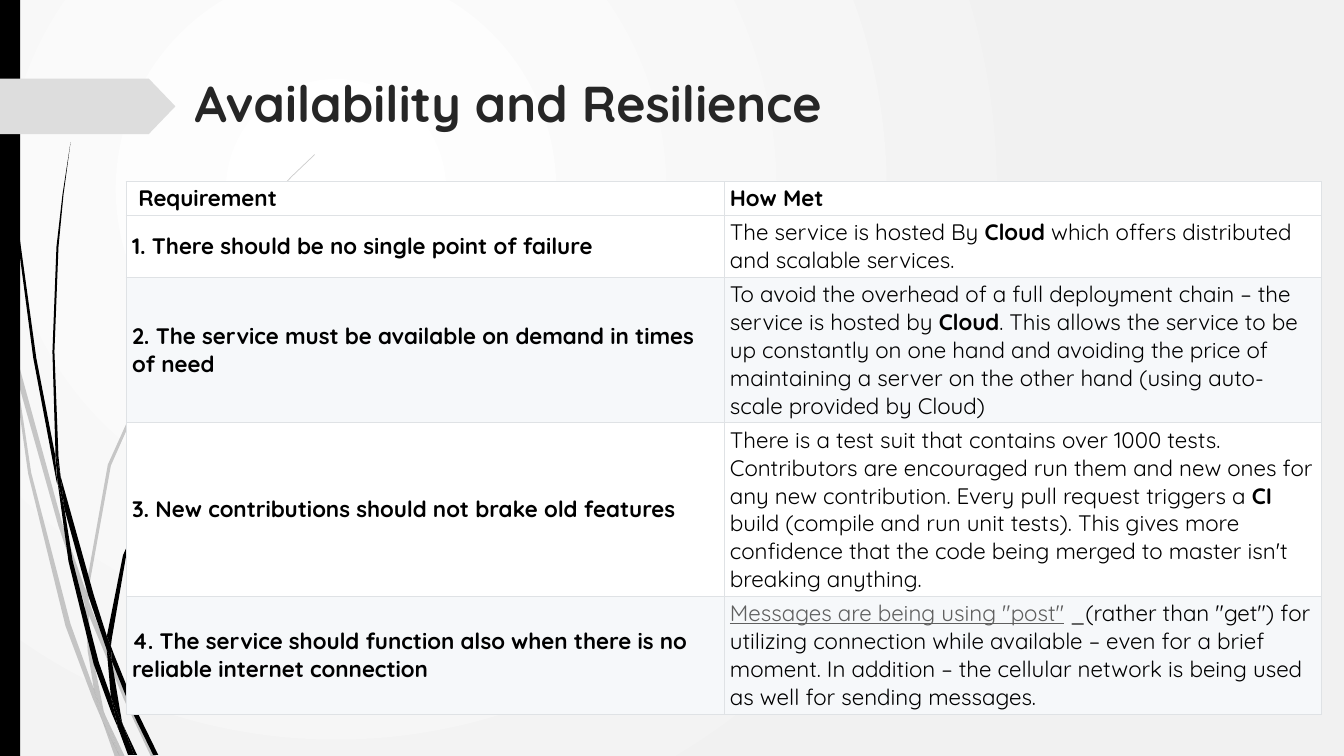
from lxml import etree
from pptx import Presentation
from pptx import util as u
from pptx.dml.color import RGBColor
from pptx.enum import shapes, text
from pptx.oxml import ns

FONT = "Quicksand"
COLORS = {"ink": "000000", "title": "262626", "arrow": "DDDDDD", "link": "5F5F5F",
          "border": "DFE2E5", "row": "FFFFFF", "band": "F6F8FA", "bg_in": "FFFFFF", "bg_out": "F1F1F1"}

PALE_WISPS = [
    "11 350 9 322 0 282 0 299 10 344",
    "58 522 84 599 85 586 62 520 14 345 17 376",
    "92 607 88 596 88 610 123 694 150 751 155 751 127 692",
    "119 751 124 751 105 711",
    "93 683 70 619 31 469 17 376 11 350 28 470 65 621 92 693 101 714 99 707",
    "84 599 87 646 93 683 96 692 105 711 103 706 91 646 88 610 88 608",
    "88 584 110 462 160 349 229 245 268 198 290 175 312 154 312 153 289 175 268 197 228 244 158 348 "
    "107 461 85 584 85 586 88 596",
    "101 714 114 751 119 751",
    "88 608 88 610 88 596 85 586 84 599",
    "96 692 93 683 99 707 101 714 119 751 105 711",
]
DARK_WISPS = [
    "7 110 17 233 33 355 56 477 57 481 55 457 55 453 36 355 19 232 8 109 5 48 4 0 3 0 4 48",
    "88 592 106 645 106 633 106 631 93 590 60 472 64 505",
    "113 649 110 641 111 656 132 708 152 749 157 749 136 706",
    "110 691 98 657 72 556 64 505 57 477 68 557 93 659 111 708 117 722 116 717",
    "60 472 58 453 54 349 58 245 63 193 70 141 62 193 56 245 52 349 55 449",
    "133 749 136 749 122 719",
    "57 477 64 505 60 472 55 449 55 453",
    "111 633 125 552 158 476 205 406 231 374 245 359 261 344 260 344 245 358 231 373 204 405 156 474 "
    "122 551 106 631 110 641",
    "117 722 127 749 131 749",
    "106 645 110 691 116 706 122 719 121 716 111 656 109 651",
    "106 645 109 651 111 656 110 641 106 631 106 633",
    "116 706 110 691 116 717 117 722 130 749 133 749 122 719",
]
HEADER = ("\N{NO-BREAK SPACE}Requirement", [("How Met", "b")])
REQUIREMENTS = [
    ("1. There should be no single point of failure",
     [("The service is hosted By ", ""), ("Cloud", "b"),
      (" which offers distributed and scalable services.", "")]),
    ("2. The service must be available on demand in times of need",
     [("To avoid the overhead of a full deployment chain – the service is hosted by ", ""), ("Cloud", "b"),
      (". This allows the service to be up constantly on one hand and avoiding the price of maintaining "
       "a server on the other hand (using auto-scale provided by Cloud)", "")]),
    ("3. New contributions should not brake old features",
     [("There is a test suit that contains over 1000 tests. Contributors are encouraged run them and new "
       "ones for any new contribution. Every pull request triggers a ", ""), ("CI", "b"),
      (" build (compile and run unit tests). This gives more confidence that the code being merged to "
       "master isn't breaking anything.", "")]),
    ("4. The service should function also when there is no reliable internet connection",
     [('Messages are being using "post"', "u"),
      (' _(rather than "get") for utilizing connection while available – even for a brief moment. '
       "In addition – the cellular network is being used as well for sending messages.", "")]),
]
ROW_HEIGHTS = [0.21, 0.52, 1.29, 1.6, 1.14]


def rgb(name):
    """Return the named colour."""
    return RGBColor.from_string(COLORS[name])


def paint(sp, color):
    """Give a shape a plain fill without line or shadow."""
    sp.shadow.inherit = False
    sp.fill.solid()
    sp.fill.fore_color.rgb = rgb(color)
    sp.line.fill.background()


def add_run(p, content, size, color, bold, underline=False):
    """Append one formatted run."""
    r = p.add_run()
    r.text = content
    r.font.name, r.font.size = FONT, u.Pt(size)
    r.font.bold, r.font.underline = bold, underline
    r.font.color.rgb = rgb(color)


def add_background(s):
    """Fill the slide with a radial gradient."""
    fill = s.background.fill
    fill.gradient()
    for stop, name in zip(fill.gradient_stops, ("bg_in", "bg_out")):
        stop.color.rgb = rgb(name)
    lin = next(s.element.iter(ns.qn("a:lin")))
    radial = etree.Element(ns.qn("a:path"), path="circle")
    etree.SubElement(radial, ns.qn("a:fillToRect"), l="50000", t="50000", r="100000", b="100000")
    lin.getparent().replace(lin, radial)


def add_wisps(s, left, top, outlines, alpha=None):
    """Draw a group of grass blades from outlines in hundredths of an inch."""
    group = s.shapes.add_group_shape()
    for outline in outlines:
        nums = [int(n) for n in outline.split()]
        points = list(zip(nums[::2], nums[1::2]))
        builder = group.shapes.build_freeform(*points[0], scale=u.Inches(0.01))
        builder.add_line_segments(points[1:], close=True)
        sp = builder.convert_to_shape(u.Inches(left), u.Inches(top))
        paint(sp, "ink")
        if alpha:
            color = sp.element.spPr.find(ns.qn("a:solidFill"))[0]
            etree.SubElement(color, ns.qn("a:alpha"), val=str(alpha * 1000))


def add_edge(s, left, top, height):
    """Draw the black edge bar and the arrow beside the title."""
    bar = s.shapes.add_shape(shapes.MSO_SHAPE.RECTANGLE, u.Inches(left), u.Inches(top),
                             u.Inches(0.2), u.Inches(height))
    paint(bar, "ink")
    arrow = s.shapes.add_shape(shapes.MSO_SHAPE.PENTAGON, u.Inches(left), u.Inches(top + 0.78),
                               u.Inches(1.74), u.Inches(0.55))
    arrow.adjustments[0] = 0.48
    paint(arrow, "arrow")


def add_title(s, left, top, width, height, content):
    """Place and format the title placeholder."""
    sp = s.shapes.title
    sp.left, sp.top, sp.width, sp.height = (u.Inches(v) for v in (left, top, width, height))
    tf = sp.text_frame
    tf.word_wrap = True
    tf.vertical_anchor = text.MSO_ANCHOR.TOP
    p = tf.paragraphs[0]
    p.alignment = text.PP_ALIGN.LEFT
    add_run(p, content, 36, "title", True)


def add_borders(cell):
    """Insert thin borders ahead of the cell fill."""
    props = cell._tc.get_or_add_tcPr()
    for i, side in enumerate(("lnL", "lnR", "lnT", "lnB")):
        ln = etree.Element(ns.qn("a:" + side), w=str(u.Pt(0.6)))
        solid = etree.SubElement(ln, ns.qn("a:solidFill"))
        etree.SubElement(solid, ns.qn("a:srgbClr"), val=COLORS["border"])
        props.insert(i, ln)


def fill_cell(cell, runs, color):
    """Write the runs into a cell and style it."""
    cell.margin_left = cell.margin_right = u.Inches(0.06)
    cell.margin_top = cell.margin_bottom = u.Inches(0.03)
    cell.vertical_anchor = text.MSO_ANCHOR.MIDDLE
    cell.fill.solid()
    cell.fill.fore_color.rgb = rgb(color)
    add_borders(cell)
    for content, style in runs:
        add_run(cell.text_frame.paragraphs[0], content, 16,
                "link" if style == "u" else "ink", style == "b", style == "u")


def add_requirements(s, left, top, width):
    """Build the table of requirements and how each is met."""
    rows = [HEADER] + REQUIREMENTS
    table = s.shapes.add_table(len(rows), 2, u.Inches(left), u.Inches(top), u.Inches(width),
                               u.Inches(sum(ROW_HEIGHTS))).table
    table.first_row = table.horz_banding = False
    for i, (requirement, answer) in enumerate(rows):
        table.rows[i].height = u.Inches(ROW_HEIGHTS[i])
        color = "band" if i and i % 2 == 0 else "row"
        fill_cell(table.cell(i, 0), [(requirement, "b")], color)
        fill_cell(table.cell(i, 1), answer, color)


def main():
    """Build the slide and save it."""
    prs = Presentation()
    prs.slide_width, prs.slide_height = u.Inches(13.33), u.Inches(7.5)
    s = prs.slides.add_slide(prs.slide_layouts[5])
    add_background(s)
    add_wisps(s, 0, 0, PALE_WISPS, 20)
    add_wisps(s, 0, 0, DARK_WISPS)
    add_edge(s, 0, 0, 7.5)
    add_title(s, 1.83, 0.67, 11.5, 1.45, "Availability and Resilience")
    add_requirements(s, 1.25, 1.8, 11.86)
    prs.save("out.pptx")


if __name__ == "__main__":
    main()
